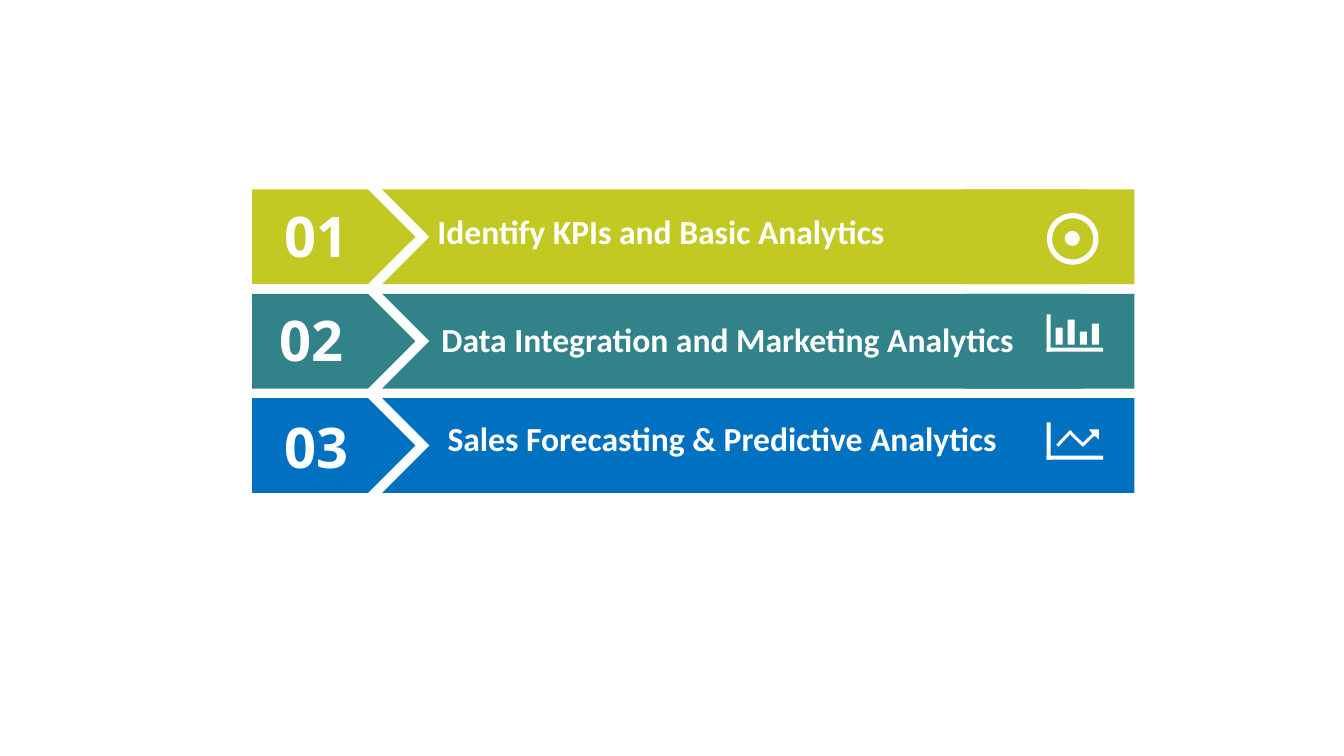
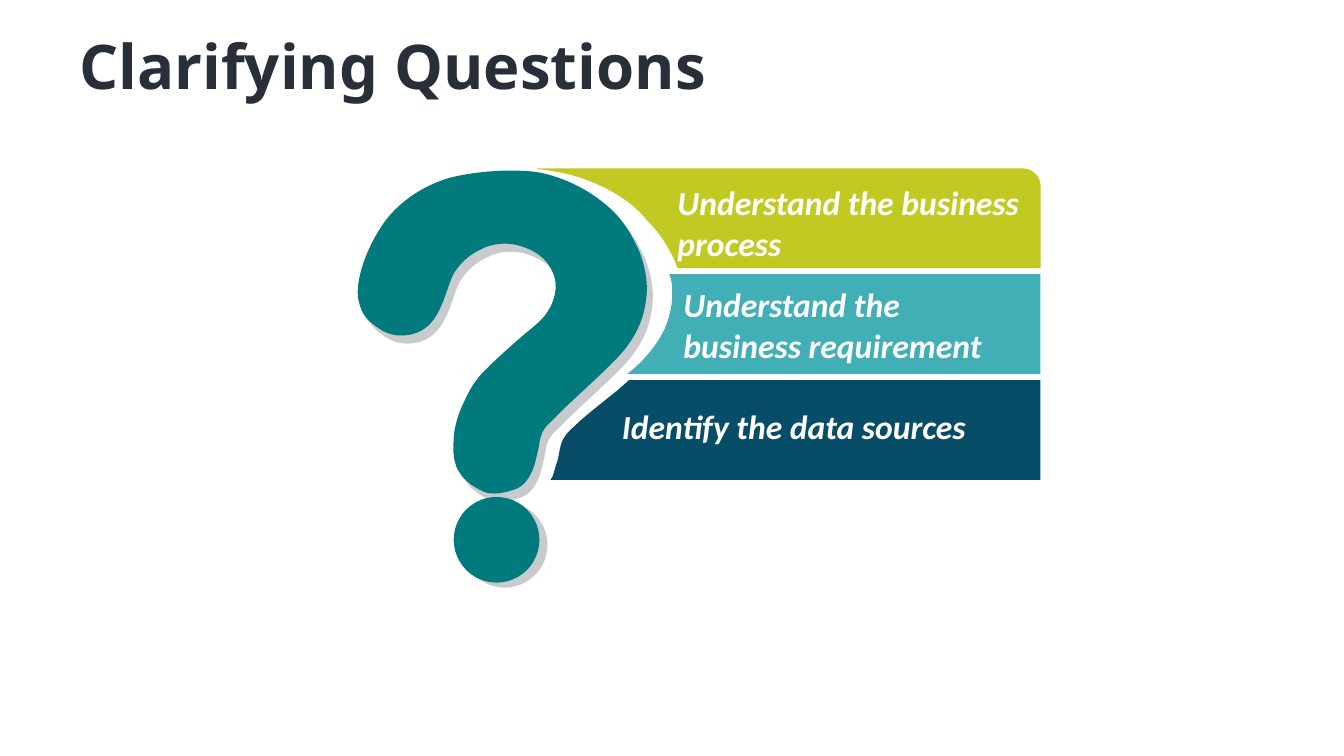
from lxml import etree
from pptx import Presentation
from pptx.dml.color import RGBColor
from pptx.enum.shapes import MSO_SHAPE
from pptx.enum.text import MSO_ANCHOR, MSO_AUTO_SIZE, PP_ALIGN
from pptx.oxml.ns import qn
from pptx.util import Inches, Pt

COLORS = {
    "white": "FFFFFF", "ink": "282F39", "lime": "C2C923", "slate": "318389",
    "blue": "0070C0", "teal": "007A7D", "aqua": "42AFB6", "navy": "074D67",
}
TITLE_ONLY, BLANK = 5, 6

# Outlines: a pair is a line to that point, six numbers are a Bézier curve
QUESTION_MARK = [
    (3.55, 2.95),
    (3.53, 2.71, 3.68, 2.38, 3.83, 2.18), (3.98, 1.99, 4.19, 1.85, 4.44, 1.77),
    (4.69, 1.7, 5.08, 1.67, 5.34, 1.71), (5.61, 1.76, 5.86, 1.9, 6.02, 2.04),
    (6.18, 2.17, 6.27, 2.34, 6.34, 2.49), (6.4, 2.65, 6.43, 2.8, 6.41, 2.96),
    (6.39, 3.12, 6.35, 3.26, 6.21, 3.45), (6.06, 3.64, 5.67, 3.97, 5.54, 4.11),
    (5.4, 4.25, 5.42, 4.22, 5.38, 4.29), (5.35, 4.35, 5.35, 4.43, 5.33, 4.5),
    (5.31, 4.57, 5.3, 4.65, 5.26, 4.71), (5.23, 4.77, 5.19, 4.82, 5.12, 4.85),
    (5.04, 4.88, 4.93, 4.91, 4.83, 4.89), (4.74, 4.86, 4.61, 4.78, 4.56, 4.69),
    (4.5, 4.61, 4.49, 4.48, 4.5, 4.37), (4.5, 4.27, 4.53, 4.16, 4.57, 4.06),
    (4.62, 3.95, 4.66, 3.85, 4.75, 3.74), (4.84, 3.63, 5.14, 3.37, 5.14, 3.37),
    (5.25, 3.27, 5.36, 3.2, 5.42, 3.11), (5.49, 3.01, 5.52, 2.9, 5.51, 2.8),
    (5.5, 2.71, 5.44, 2.6, 5.36, 2.54), (5.29, 2.48, 5.16, 2.43, 5.06, 2.42),
    (4.96, 2.41, 4.84, 2.43, 4.76, 2.48), (4.67, 2.52, 4.59, 2.59, 4.53, 2.67),
    (4.47, 2.75, 4.45, 2.85, 4.4, 2.98), (4.35, 3.1, 4.29, 3.25, 4.11, 3.31),
    (4.01, 3.34, 3.87, 3.34, 3.76, 3.26), (3.66, 3.19, 3.59, 3.15, 3.55, 2.95),
]
PROCESS_BAND = [
    (5.33, 1.67), (10.14, 1.67), (10.24, 1.67, 10.32, 1.75, 10.32, 1.84),
    (10.32, 2.66), (6.72, 2.66), (6.68, 2.56),
    (6.62, 2.44, 6.55, 2.32, 6.44, 2.21), (6.42, 2.19), (6.37, 2.13),
    (6.33, 2.09, 6.29, 2.05, 6.25, 2.02), (6.07, 1.88, 5.78, 1.74, 5.49, 1.7),
    (5.45, 1.69, 5.41, 1.69, 5.37, 1.68), (5.33, 1.68),
]
REQUIREMENT_BAND = [
    (6.64, 2.72), (10.32, 2.72), (10.32, 3.71), (6.22, 3.71), (6.26, 3.68),
    (6.33, 3.62, 6.39, 3.56, 6.43, 3.51), (6.59, 3.32, 6.63, 3.19, 6.66, 3.03),
    (6.67, 2.95, 6.67, 2.87, 6.66, 2.79),
]
SOURCES_BAND = [
    (6.24, 3.77), (10.32, 3.77), (10.32, 4.76), (5.46, 4.76), (5.48, 4.73),
    (5.5, 4.68, 5.51, 4.62, 5.53, 4.57), (5.55, 4.5, 5.55, 4.42, 5.59, 4.35),
    (5.63, 4.29, 5.61, 4.31, 5.76, 4.17), (5.84, 4.1, 5.99, 3.98, 6.14, 3.86),
]


class Deck:
    """Holds the shared style and the slide being drawn."""

    def __init__(self):
        self.prs = Presentation()
        self.prs.slide_width, self.prs.slide_height = Inches(13.33), Inches(7.5)
        self.slide = None

    def new_slide(self, layout):
        self.slide = self.prs.slides.add_slide(self.prs.slide_layouts[layout])

    def color(self, name):
        return RGBColor.from_string(COLORS[name])

    def paint(self, shape, fill=None, line=None, width=0, alpha=None):
        shape.shadow.inherit = False
        if fill:
            shape.fill.solid()
            shape.fill.fore_color.rgb = self.color(fill)
        else:
            shape.fill.background()
        if line:
            shape.line.color.rgb = self.color(line)
            shape.line.width = Pt(width)
        else:
            shape.line.fill.background()
        if alpha:
            tint = shape.fill._xPr.find(qn("a:solidFill"))[0]
            etree.SubElement(tint, qn("a:alpha")).set("val", str(alpha * 1000))

    def shape(self, kind, x, y, w, h, turn=0, **style):
        box = self.slide.shapes.add_shape(kind, Inches(x), Inches(y), Inches(w), Inches(h))
        box.rotation = turn
        self.paint(box, **style)

    def bar(self, x, y, w, h, turn=0):
        self.shape(MSO_SHAPE.RECTANGLE, x, y, w, h, turn=turn, fill="white")

    def outline(self, steps, dx=0, dy=0, **style):
        ends = [(Inches(step[-2] + dx), Inches(step[-1] + dy)) for step in steps]
        builder = self.slide.shapes.build_freeform(*ends[0])
        builder.add_line_segments(ends[1:], close=True)
        figure = builder.convert_to_shape()
        # Bend the straight segments that stand for curves
        segments = list(figure._element.iter(qn("a:lnTo")))
        for segment, step in zip(segments, steps[1:]):
            if len(step) == 6:
                segment.tag = qn("a:cubicBezTo")
                for i, (x, y) in enumerate((step[0:2], step[2:4])):
                    handle = etree.Element(qn("a:pt"))
                    handle.set("x", str(Inches(x + dx) - figure.left))
                    handle.set("y", str(Inches(y + dy) - figure.top))
                    segment.insert(i, handle)
        self.paint(figure, **style)

    def format(self, paragraph, font, size, color, align, italic=False):
        paragraph.alignment = align
        paragraph.font.name, paragraph.font.size = font, Pt(size)
        paragraph.font.bold, paragraph.font.italic = True, italic
        paragraph.font.color.rgb = self.color(color)

    def text(self, words, x, y, w, h, font="Calibri", size=24,
             align=PP_ALIGN.LEFT, italic=False):
        frame = self.slide.shapes.add_textbox(
            Inches(x), Inches(y), Inches(w), Inches(h)).text_frame
        frame.word_wrap = True
        frame.auto_size = MSO_AUTO_SIZE.SHAPE_TO_FIT_TEXT
        frame.text = words
        self.format(frame.paragraphs[0], font, size, "white", align, italic)

    def title(self, words, x, y, w, h):
        title = self.slide.shapes.title
        title.left, title.top, title.width, title.height = map(Inches, (x, y, w, h))
        frame = title.text_frame
        frame.text = words
        frame.auto_size, frame.vertical_anchor = MSO_AUTO_SIZE.NONE, MSO_ANCHOR.MIDDLE
        self.format(frame.paragraphs[0], "Noto Sans", 44, "ink", PP_ALIGN.CENTER)

    def icon_axes(self, x, y):
        self.bar(x, y, 0.04, 0.37)
        self.bar(x + 0.26, y + 0.07, 0.04, 0.56, turn=90)


def analytics_steps(deck):
    deck.new_slide(BLANK)
    top, last_top, height = 1.88, 3.95, 0.94

    # Numbered arrow rows: colour, number position, label, label place
    steps = [
        ("lime", (2.58, 1.95), "Identify KPIs and Basic Analytics",
         (4.24, 2.04, 6.18, 0.5)),
        ("slate", (2.53, 2.98), "Data Integration and Marketing Analytics",
         (4.28, 3.11, 7.03, 0.5)),
        ("blue", (2.58, 4.04), "Sales Forecasting & Predictive Analytics",
         (4.34, 4.1, 6.32, 0.5)),
    ]
    pitch = (last_top - top) / (len(steps) - 1)
    for i, (color, number_at, label, label_place) in enumerate(steps):
        y = top + i * pitch
        deck.shape(MSO_SHAPE.PENTAGON, 2.5, y, 1.62, height, fill=color)
        deck.shape(MSO_SHAPE.CHEVRON, 3.79, y, 7.41, height, fill=color)
        deck.shape(MSO_SHAPE.RECTANGLE, 9.57, y, 1.68, height, fill=color)
        deck.text(f"{i + 1:02}", *number_at, 1.11, 0.77,
                  font="Open Sans", size=40, align=PP_ALIGN.CENTER)
        deck.text(label, *label_place)

    # Target icon
    deck.shape(MSO_SHAPE.OVAL, 10.41, 2.14, 0.46, 0.46, line="white", width=3.75)
    deck.shape(MSO_SHAPE.OVAL, 10.56, 2.29, 0.15, 0.15, fill="white")

    # Bar chart icon
    deck.icon_axes(10.38, 3.12)
    for i, tall in enumerate((0.17, 0.25, 0.13, 0.21)):
        deck.bar(10.47 + i * 0.12, 3.42 - tall, 0.07, tall)

    # Trend icon
    deck.icon_axes(10.38, 4.19)
    for x, turn in ((10.54, 43.3), (10.66, 134.7), (10.79, 45.9)):
        deck.bar(x, 4.25, 0.03, 0.2, turn=turn)
    deck.outline([(10.8, 4.26), (10.9, 4.26), (10.9, 4.36), (10.84, 4.31)], fill="white")


def clarifying_questions(deck):
    deck.new_slide(TITLE_ONLY)
    deck.title("Clarifying Questions", -1.4, 0.22, 10.59, 0.84)

    # Question mark and its soft shade
    deck.outline(QUESTION_MARK, dx=0.06, dy=0.08, fill="ink", alpha=25)
    deck.outline(QUESTION_MARK, fill="teal")
    deck.shape(MSO_SHAPE.OVAL, 4.58, 4.98, 0.85, 0.85, fill="ink", alpha=25)
    deck.shape(MSO_SHAPE.OVAL, 4.5, 4.93, 0.85, 0.85, fill="teal")

    # Bands that follow the curve of the mark
    questions = [
        (PROCESS_BAND, "lime", "Understand the business process", (6.62, 1.76, 3.91, 0.91)),
        (REQUIREMENT_BAND, "aqua", "Understand the business requirement",
         (6.68, 2.77, 3.31, 0.91)),
        (SOURCES_BAND, "navy", "Identify the data sources", (6.07, 3.98, 3.91, 0.5)),
    ]
    for band, color, question, place in questions:
        deck.outline(band, fill=color)
        deck.text(question, *place, italic=True)


def main():
    deck = Deck()
    analytics_steps(deck)
    clarifying_questions(deck)
    deck.prs.save("out.pptx")


if __name__ == "__main__":
    main()
